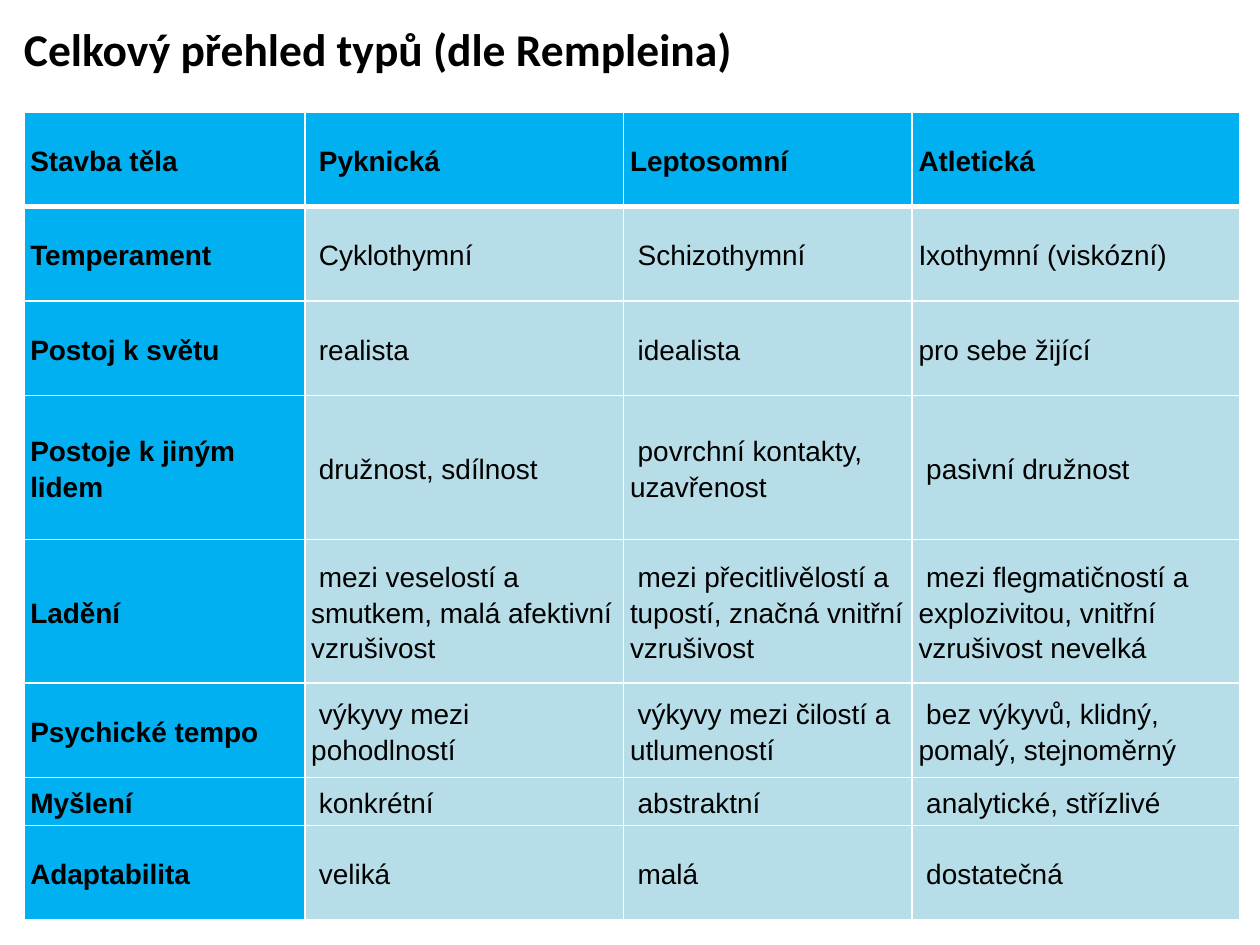
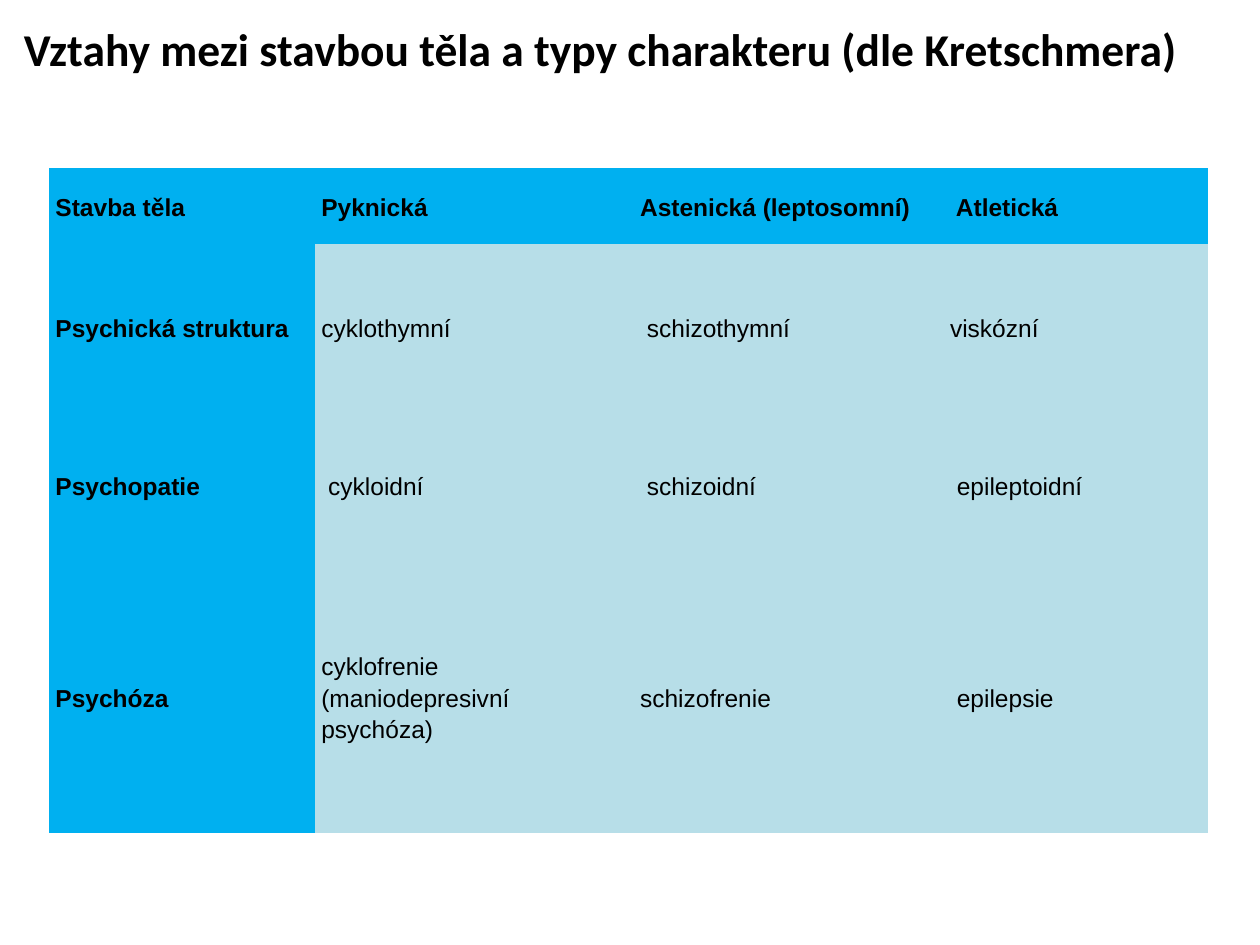
from lxml.etree import SubElement
from pptx import Presentation
from pptx.dml.color import RGBColor
from pptx.enum.text import MSO_ANCHOR
from pptx.oxml.ns import qn
from pptx.util import Inches, Pt

BLACK = RGBColor(0x00, 0x00, 0x00)
HEADING_BLUE = RGBColor(0x00, 0xB0, 0xF0)
BODY_BLUE = RGBColor(0xB7, 0xDE, 0xE8)
GRID_WHITE = RGBColor(0xFF, 0xFF, 0xFF)
PLAIN_TABLE_STYLE = "{2D5ABB26-0587-4C30-8999-92F81FD0307C}"

BODY_AREA = (0.19, 0.17, 9.65, 7.03)
CELL_MARGIN = 0.05
GRID_WIDTH, HEADER_RULE_WIDTH = 1, 3

SLIDES = [
    {
        "title": "Celkový přehled typů (dle Rempleina)",
        "corner": (0.19, 0.89),
        "columns": (2.23, 2.53, 2.29, 2.6),
        "heights": (0.75, 0.75, 0.75, 1.14, 1.14, 0.75, 0.38, 0.75),
        "size": 16,
        "grid": True,
        "rows": [
            ("Stavba těla", " Pyknická", "Leptosomní", "Atletická"),
            ("Temperament", " Cyklothymní", " Schizothymní", "Ixothymní (viskózní)"),
            ("Postoj k světu", " realista", " idealista", "pro sebe žijící"),
            ("Postoje k jiným lidem", " družnost, sdílnost",
             " povrchní kontakty, uzavřenost", " pasivní družnost"),
            ("Ladění", " mezi veselostí a smutkem, malá afektivní vzrušivost",
             " mezi přecitlivělostí a tupostí, značná vnitřní vzrušivost",
             " mezi flegmatičností a explozivitou, vnitřní vzrušivost nevelká"),
            ("Psychické tempo", " výkyvy mezi pohodlností",
             " výkyvy mezi čilostí a utlumeností",
             " bez výkyvů, klidný, pomalý, stejnoměrný"),
            ("Myšlení", " konkrétní", " abstraktní", " analytické, střízlivé"),
            ("Adaptabilita", " veliká", " malá", " dostatečná"),
        ],
    },
    {
        "title": "Vztahy mezi stavbou těla a typy charakteru (dle Kretschmera)",
        "corner": (0.39, 1.33),
        "columns": (2.11, 2.53, 2.46, 2.1),
        "heights": (0.61, 1.31, 1.2, 2.16),
        "size": 14,
        "grid": False,
        "rows": [
            ("Stavba těla", "Pyknická", "Astenická (leptosomní)", " Atletická"),
            ("Psychická struktura", "cyklothymní", " schizothymní", "viskózní"),
            ("Psychopatie", " cykloidní", " schizoidní", " epileptoidní"),
            ("Psychóza", "cyklofrenie\n(maniodepresivní psychóza)",
             "schizofrenie", " epilepsie"),
        ],
    },
]


def set_font(paragraph, name, size, bold):
    font = paragraph.font
    font.name, font.size, font.bold = name, Pt(size), bold
    font.color.rgb = BLACK


def add_title(slide, title):
    frame = slide.shapes.add_textbox(*map(Inches, BODY_AREA)).text_frame
    frame.word_wrap = True
    frame.margin_left = frame.margin_top = frame.margin_right = frame.margin_bottom = 0
    frame.text = title
    set_font(frame.paragraphs[0], "Calibri", 26, True)


def draw_borders(cell, row):
    """White cell borders, with a heavier rule between header and body."""
    widths = {"L": GRID_WIDTH, "R": GRID_WIDTH,
              "T": HEADER_RULE_WIDTH if row == 1 else GRID_WIDTH,
              "B": HEADER_RULE_WIDTH if row == 0 else GRID_WIDTH}
    properties = cell._tc.get_or_add_tcPr()
    for side, width in widths.items():
        line = SubElement(properties, qn(f"a:ln{side}"), w=str(Pt(width)))
        SubElement(SubElement(line, qn("a:solidFill")), qn("a:srgbClr"), val=str(GRID_WHITE))


def fill_cell(cell, text, size, heading):
    cell.text = text
    cell.vertical_anchor = MSO_ANCHOR.MIDDLE
    cell.margin_left = cell.margin_right = Inches(CELL_MARGIN)
    cell.margin_top = cell.margin_bottom = 0
    cell.fill.solid()
    cell.fill.fore_color.rgb = HEADING_BLUE if heading else BODY_BLUE
    for paragraph in cell.text_frame.paragraphs:
        paragraph.line_spacing = 1.15
        set_font(paragraph, "Arial", size, heading)


def add_types_table(slide, content):
    columns, heights = content["columns"], content["heights"]
    extent = (*content["corner"], sum(columns), sum(heights))
    table = slide.shapes.add_table(len(heights), len(columns), *map(Inches, extent)).table
    table._tbl.tblPr.find(qn("a:tableStyleId")).text = PLAIN_TABLE_STYLE
    table.horz_banding = False
    for column, width in zip(table.columns, columns):
        column.width = Inches(width)
    for r, (height, texts) in enumerate(zip(heights, content["rows"])):
        table.rows[r].height = Inches(height)
        for c, text in enumerate(texts):
            cell = table.cell(r, c)
            if content["grid"]:
                draw_borders(cell, r)
            fill_cell(cell, text, content["size"], heading=r == 0 or c == 0)


def main():
    deck = Presentation()
    deck.slide_width, deck.slide_height = Inches(10), Inches(7.5)
    for content in SLIDES:
        slide = deck.slides.add_slide(deck.slide_layouts[6])
        add_types_table(slide, content)
        add_title(slide, content["title"])
    deck.save("out.pptx")


if __name__ == "__main__":
    main()
